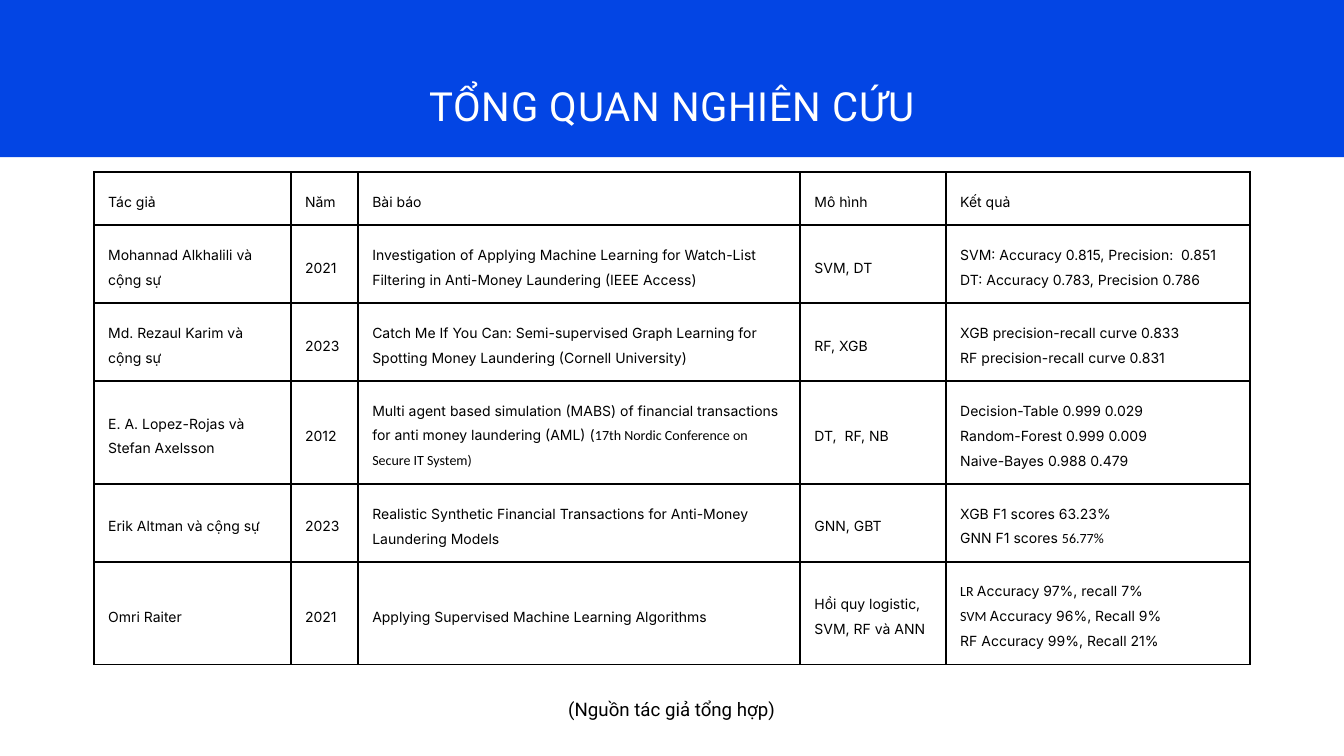
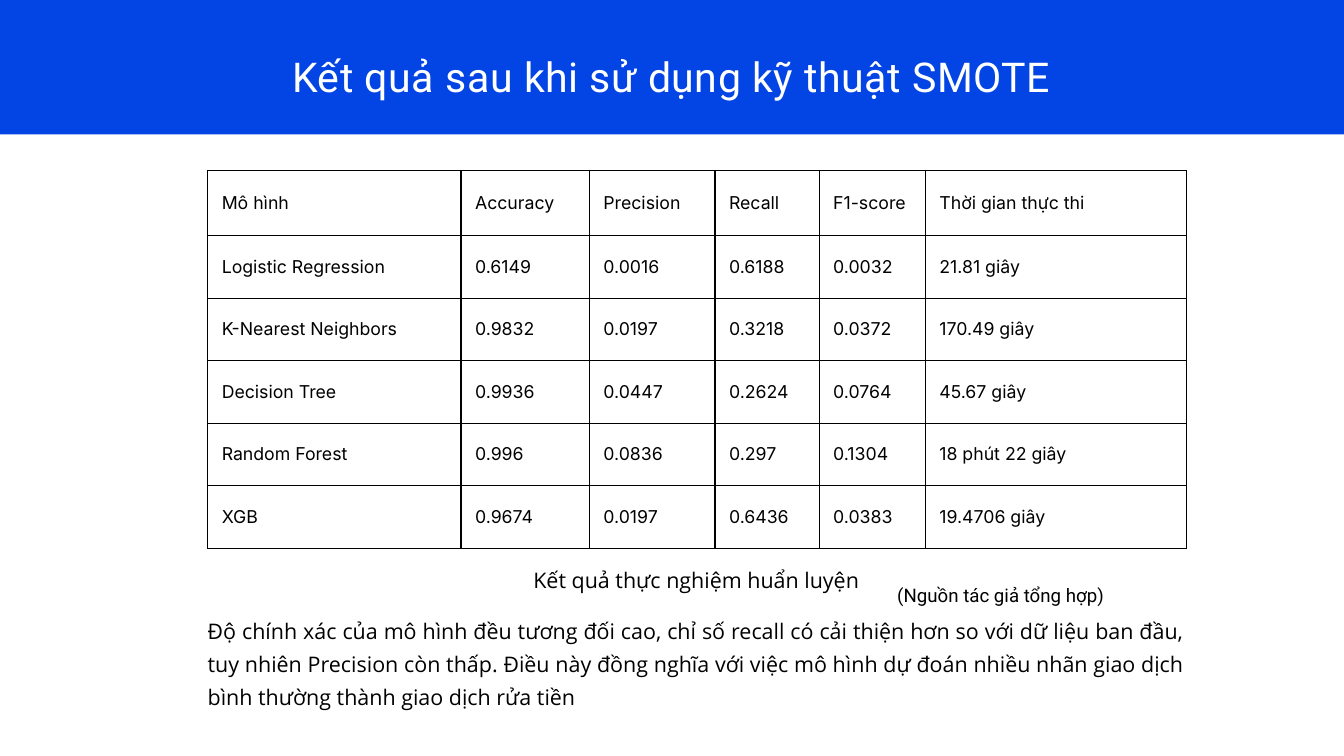
from lxml import etree
from pptx import Presentation
from pptx.dml.color import RGBColor
from pptx.enum.shapes import MSO_SHAPE
from pptx.enum.text import MSO_ANCHOR, MSO_AUTO_SIZE, PP_ALIGN
from pptx.oxml.ns import qn
from pptx.util import Inches, Pt

RECTANGLE = MSO_SHAPE.RECTANGLE
TOP, MIDDLE = MSO_ANCHOR.TOP, MSO_ANCHOR.MIDDLE
CENTER, JUSTIFY = PP_ALIGN.CENTER, PP_ALIGN.JUSTIFY
GROW = MSO_AUTO_SIZE.SHAPE_TO_FIT_TEXT
TITLE_ONLY = 5

BLUE, WHITE, BLACK = "0345E4", "FFFFFF", "000000"
TITLE_FONT, TABLE_FONT, BODY_FONT, ALT_FONT = "Roboto", "Inter", "Open Sans", "Calibri"
SLIDE_W, SLIDE_H = 20, 11.25
CELL_MARGIN = 0.21
SOURCE_NOTE = "(Nguồn tác giả tổng hợp)"

STUDIES = [
    ["Tác giả", "Năm", "Bài báo", "Mô hình", "Kết quả"],
    ["Mohannad Alkhalili và cộng sự", "2021",
     "Investigation of Applying Machine Learning for Watch-List Filtering "
     "in Anti-Money Laundering (IEEE Access)",
     "SVM, DT",
     "SVM: Accuracy 0.815, Precision:  0.851\nDT: Accuracy 0.783, Precision 0.786"],
    ["Md. Rezaul Karim và cộng sự", "2023",
     "Catch Me If You Can: Semi-supervised Graph Learning for Spotting "
     "Money Laundering (Cornell University)",
     "RF, XGB",
     "XGB precision-recall curve 0.833\nRF precision-recall curve 0.831"],
    ["E. A. Lopez-Rojas và Stefan Axelsson", "2012",
     "Multi agent based simulation (MABS) of financial transactions for anti "
     "money laundering (AML) (*17th Nordic Conference on Secure IT System)*",
     "DT,  RF, NB",
     "Decision-Table 0.999 0.029\nRandom-Forest 0.999 0.009\nNaive-Bayes 0.988 0.479"],
    ["Erik Altman và cộng sự", "2023",
     "Realistic Synthetic Financial Transactions for Anti-Money Laundering Models",
     "GNN, GBT",
     "XGB F1 scores 63.23%\nGNN F1 scores *56.77%*"],
    ["Omri Raiter", "2021",
     "Applying Supervised Machine Learning Algorithms",
     "Hồi quy logistic, SVM, RF và ANN",
     "*LR *Accuracy 97%, recall 7%\n*SVM *Accuracy 96%, Recall 9%\n"
     "RF Accuracy 99%, Recall 21%"],
]
STUDY_LINES = [1, 2, 2, 3, 2, 3]

SCORES = [
    ["Mô hình", "Accuracy", "Precision", "Recall", "F1-score", "Thời gian thực thi"],
    ["Logistic Regression", "0.6149", "0.0016", "0.6188", "0.0032", "21.81 giây"],
    ["K-Nearest Neighbors", "0.9832", "0.0197", "0.3218", "0.0372", "170.49 giây"],
    ["Decision Tree", "0.9936", "0.0447", "0.2624", "0.0764", "45.67 giây"],
    ["Random Forest", "0.996", "0.0836", "0.297", "0.1304", "18 phút 22 giây"],
    ["XGB", "0.9674", "0.0197", "0.6436", "0.0383", "19.4706 giây"],
]


def rgb(color):
    return RGBColor.from_string(color)


def style_run(r, font, size, color):
    r.font.name = font
    r.font.size = Pt(size)
    r.font.color.rgb = rgb(color)


def draw_borders(cell, width):
    tcPr = cell._tc.get_or_add_tcPr()
    for side in ("lnL", "lnR", "lnT", "lnB"):
        ln = etree.SubElement(tcPr, qn(f"a:{side}"), w=str(Pt(width)))
        fill = etree.SubElement(ln, qn("a:solidFill"))
        etree.SubElement(fill, qn("a:srgbClr"), val=BLACK)


class Deck:
    def __init__(self):
        self.prs = Presentation()
        self.prs.slide_width = Inches(SLIDE_W)
        self.prs.slide_height = Inches(SLIDE_H)
        self.s = None

    def add_slide(self):
        self.s = self.prs.slides.add_slide(self.prs.slide_layouts[TITLE_ONLY])

    def band(self, height):
        sp = self.s.shapes.add_shape(RECTANGLE, 0, 0, Inches(SLIDE_W), Inches(height))
        sp.shadow.inherit = False
        sp.fill.solid()
        sp.fill.fore_color.rgb = rgb(BLUE)
        sp.line.fill.background()
        self.s.shapes._spTree.insert(2, sp._element)

    def fill_text(self, sp, text, font, size, color, leading, align):
        tf = sp.text_frame
        tf.text = text
        tf.word_wrap = True
        tf.auto_size = GROW
        tf.vertical_anchor = TOP
        tf.margin_left = tf.margin_right = tf.margin_top = tf.margin_bottom = 0
        p = tf.paragraphs[0]
        p.alignment = align
        p.line_spacing = Pt(leading)
        style_run(p.runs[0], font, size, color)

    def title(self, box, text, size, leading, tracking):
        sp = self.s.shapes.title
        sp.left, sp.top, sp.width, sp.height = map(Inches, box)
        self.fill_text(sp, text, TITLE_FONT, size, WHITE, leading, CENTER)
        r = sp.text_frame.paragraphs[0].runs[0]
        r.font._element.set("spc", str(tracking))

    def text(self, box, text, font=BODY_FONT, size=23, leading=35.6, align=CENTER):
        sp = self.s.shapes.add_textbox(*map(Inches, box))
        self.fill_text(sp, text, font, size, BLACK, leading, align)

    def source_note(self, box):
        self.text(box, SOURCE_NOTE, TITLE_FONT, 20, 31)

    def table(self, left, top, widths, heights, rows, size, leading, border):
        frame = self.s.shapes.add_table(
            len(rows), len(widths), Inches(left), Inches(top),
            Inches(sum(widths)), Inches(sum(heights)))
        table = frame.table
        table.first_row = table.horz_banding = False
        for column, width in zip(table.columns, widths):
            column.width = Inches(width)
        for row, height, texts in zip(table.rows, heights, rows):
            row.height = Inches(height)
            for cell, text in zip(row.cells, texts):
                self.cell(cell, text, size, leading, border)

    def cell(self, cell, text, size, leading, border):
        draw_borders(cell, border)
        cell.fill.background()
        cell.vertical_anchor = MIDDLE
        cell.margin_left = cell.margin_right = Inches(CELL_MARGIN)
        cell.margin_top = cell.margin_bottom = Inches(CELL_MARGIN)
        tf = cell.text_frame
        tf.text = text
        for p in tf.paragraphs:
            p.line_spacing = Pt(leading)
            parts = p.text.split("*")
            p.clear()
            for i, part in enumerate(parts):
                if part:
                    r = p.add_run()
                    r.text = part
                    style_run(r, ALT_FONT if i % 2 else TABLE_FONT, size, BLACK)


def main():
    deck = Deck()

    deck.add_slide()
    deck.band(2.34)
    deck.title((5.88, 1.09, 8.25, 0.77), "TỔNG QUAN NGHIÊN CỨU", 43, 60.2, 80)
    heights = [2 * CELL_MARGIN + 0.37 * lines for lines in STUDY_LINES]
    deck.table(1.4, 2.56, [2.93, 1, 6.58, 2.17, 4.52], heights, STUDIES, 15, 26.6, 2.25)
    deck.source_note((6.31, 10.29, 7.37, 0.41))

    deck.add_slide()
    deck.band(2)
    deck.title((3.39, 0.87, 13.22, 0.63), "Kết quả sau khi sử dụng kỹ thuật SMOTE", 44, 44.8, 60)
    deck.table(3.09, 2.54, [3.77, 1.91, 1.87, 1.55, 1.58, 3.89],
               [0.97] + [0.93] * 5, SCORES, 19, 22.6, 1.5)
    deck.text((3.09, 9.08, 14.55, 1.47),
              "Độ chính xác của mô hình đều tương đối cao, chỉ số recall có cải thiện hơn "
              "so với dữ liệu ban đầu, tuy nhiên Precision còn thấp. Điều này đồng nghĩa với "
              "việc mô hình dự đoán nhiều nhãn giao dịch bình thường thành giao dịch rửa tiền",
              align=JUSTIFY)
    deck.text((3.96, 8.33, 12.81, 0.46), "Kết quả thực nghiệm huẩn luyện")
    deck.source_note((12.82, 8.59, 4.14, 0.41))

    deck.prs.save("out.pptx")


if __name__ == "__main__":
    main()
